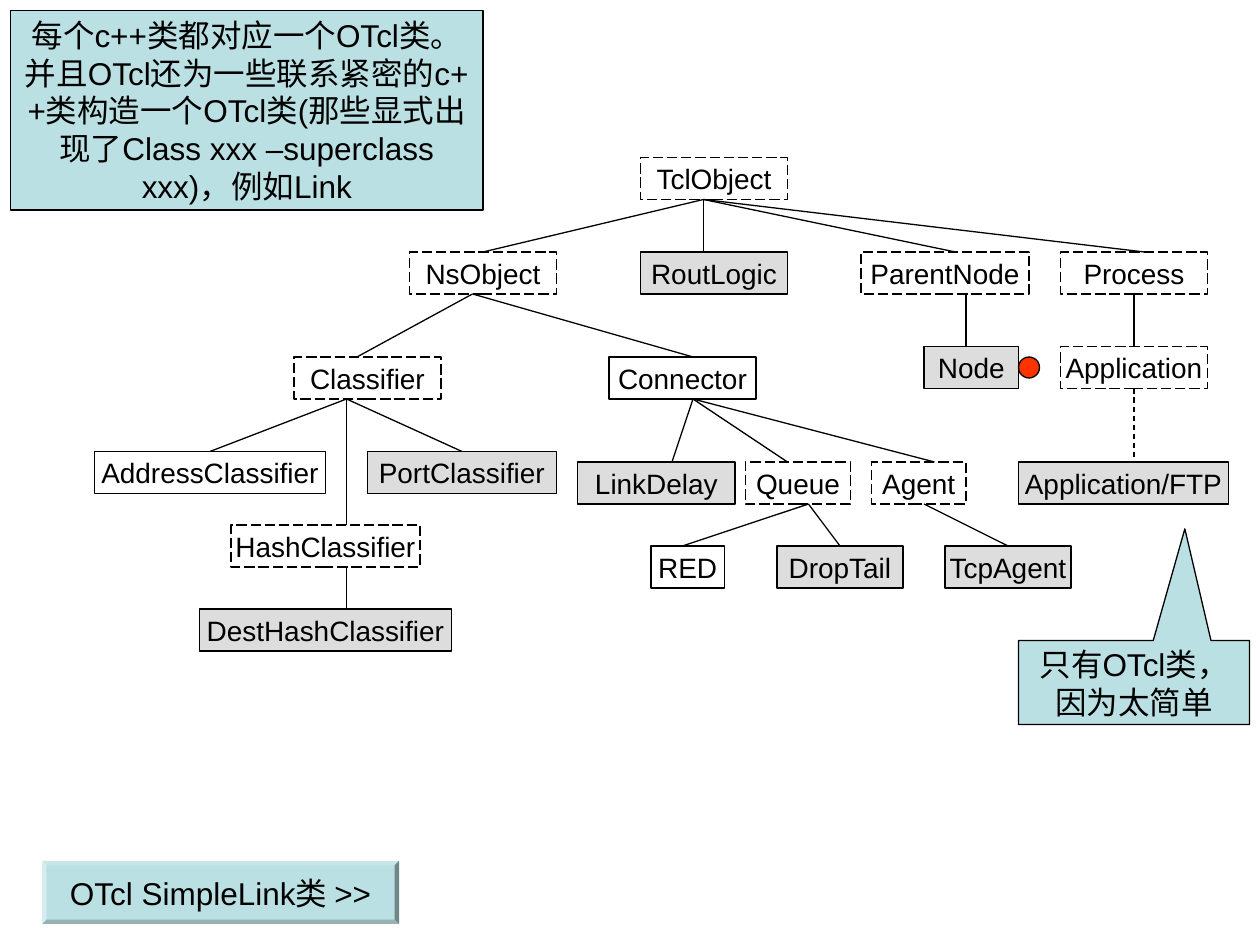
from lxml import etree
from pptx import Presentation
from pptx.dml.color import RGBColor
from pptx.enum.dml import MSO_LINE
from pptx.enum.shapes import MSO_CONNECTOR, MSO_SHAPE
from pptx.enum.text import MSO_ANCHOR, PP_ALIGN
from pptx.oxml.ns import qn
from pptx.util import Cm, Pt

RECT, OVAL = MSO_SHAPE.RECTANGLE, MSO_SHAPE.OVAL
CALLOUT, BEVEL = MSO_SHAPE.RECTANGULAR_CALLOUT, MSO_SHAPE.BEVEL
STRAIGHT = MSO_CONNECTOR.STRAIGHT
LONG_DASH, DASH = MSO_LINE.LONG_DASH, MSO_LINE.DASH
CENTER, MIDDLE = PP_ALIGN.CENTER, MSO_ANCHOR.MIDDLE

FONT = "Arial"
BLACK, WHITE, GREY, TEAL, RED = "000000", "FFFFFF", "DDDDDD", "BBE0E3", "FF3300"
GRID = 2.54 / 12  # the drawing sits on a grid of 12 cells to the inch
CLASS_HEIGHT = 4

# Box styles: fill and outline dash
STYLES = {"abstract": (WHITE, LONG_DASH), "plain": (WHITE, None), "shared": (GREY, None)}

# Class: left, top, width in grid cells, style
CLASSES = {
    "TclObject": (61, 15, 14, "abstract"),
    "NsObject": (39, 24, 14, "abstract"),
    "RoutLogic": (61, 24, 14, "shared"),
    "ParentNode": (82, 24, 16, "abstract"),
    "Process": (101, 24, 14, "abstract"),
    "Classifier": (28, 34, 14, "abstract"),
    "Connector": (58, 34, 14, "plain"),
    "Node": (88, 33, 9, "shared"),
    "Application": (101, 33, 14, "abstract"),
    "AddressClassifier": (9, 43, 22, "plain"),
    "PortClassifier": (35, 43, 18, "shared"),
    "HashClassifier": (22, 50, 18, "abstract"),
    "DestHashClassifier": (19, 58, 24, "shared"),
    "LinkDelay": (55, 44, 15, "shared"),
    "Queue": (71, 44, 10, "abstract"),
    "Agent": (83, 44, 9, "abstract"),
    "Application/FTP": (97, 44, 20, "shared"),
    "RED": (62, 52, 7, "plain"),
    "DropTail": (74, 52, 12, "shared"),
    "TcpAgent": (90, 52, 12, "shared"),
}

# Parent: x where its links leave, then each child with the x where its link arrives
LINKS = {
    "TclObject": (67, {"NsObject": 46, "RoutLogic": 67, "ParentNode": 91, "Process": 109}),
    "NsObject": (45, {"Classifier": 34, "Connector": 66}),
    "ParentNode": (92, {"Node": 92}),
    "Process": (108, {"Application": 108}),
    "Application": (108, {"Application/FTP": 108}),
    "Classifier": (33, {"AddressClassifier": 20, "HashClassifier": 33, "PortClassifier": 44}),
    "HashClassifier": (33, {"DestHashClassifier": 33}),
    "Connector": (66, {"LinkDelay": 64, "Queue": 75, "Agent": 89}),
    "Queue": (77, {"RED": 65, "DropTail": 80}),
    "Agent": (88, {"TcpAgent": 96}),
}
DASHED_CHILD = "Application/FTP"

RULE_NOTE = ("每个c++类都对应一个OTcl类。并且OTcl还为一些联系紧密的c++类构造一个OTcl类"
             "(那些显式出现了Class xxx –superclass xxx)，例如Link")
FTP_NOTE = "只有OTcl类，因为太简单"
NEXT_LABEL = "OTcl SimpleLink类 >>"


def color(hex_code):
    return RGBColor.from_string(hex_code)


def cells(*counts):
    return [Cm(count * GRID) for count in counts]


def style_line(line, dash=None):
    line.color.rgb = color(BLACK)
    line.width = Pt(0.75)
    if dash is not None:
        line.dash_style = dash


def add_box(kind, place, fill, text="", size=18, wrap=True, dash=None):
    box = slide.shapes.add_shape(kind, *cells(*place))
    box.shadow.inherit = False
    box.fill.solid()
    box.fill.fore_color.rgb = color(fill)
    style_line(box.line, dash)
    if text:
        frame = box.text_frame
        frame.text = text
        frame.word_wrap = wrap
        frame.vertical_anchor = MIDDLE
        paragraph = frame.paragraphs[0]
        paragraph.alignment = CENTER
        # Keep punctuation inside the text area
        paragraph._p.get_or_add_pPr().set("hangingPunct", "0")
        font = paragraph.runs[0].font
        font.name, font.size = FONT, Pt(size)
        font.color.rgb = color(BLACK)
    return box


def add_link(start_x, start_y, end_x, end_y, dash=None):
    link = slide.shapes.add_connector(STRAIGHT, *cells(start_x, start_y, end_x, end_y))
    style_line(link.line, dash)
    etree.SubElement(link._element.spPr, qn("a:effectLst"))


prs = Presentation()
prs.slide_width, prs.slide_height = Cm(25.4), Cm(19.05)
slide = prs.slides.add_slide(prs.slide_layouts[6])

# Class tree
for name, (left, top, width, style) in CLASSES.items():
    fill, dash = STYLES[style]
    add_box(RECT, (left, top, width, CLASS_HEIGHT), fill, name, 16, False, dash)

for parent, (start_x, children) in LINKS.items():
    parent_bottom = CLASSES[parent][1] + CLASS_HEIGHT
    for child, end_x in children.items():
        add_link(start_x, parent_bottom, end_x, CLASSES[child][1],
                 DASH if child == DASHED_CHILD else None)

# Marker beside Node
add_box(OVAL, (97, 34, 2, 2), RED)

# Notes
add_box(RECT, (1, 1, 45, 19), TEAL, RULE_NOTE)
ftp_callout = add_box(CALLOUT, (97, 61, 22, 8), TEAL, FTP_NOTE)
ftp_callout.adjustments[0] = 0.22
ftp_callout.adjustments[1] = -1.83

# Button to the next topic
next_button = add_box(BEVEL, (4, 82, 34, 6), TEAL, NEXT_LABEL, wrap=False)
next_button.adjustments[0] = 0.07
next_button.line.fill.background()

prs.save("out.pptx")
